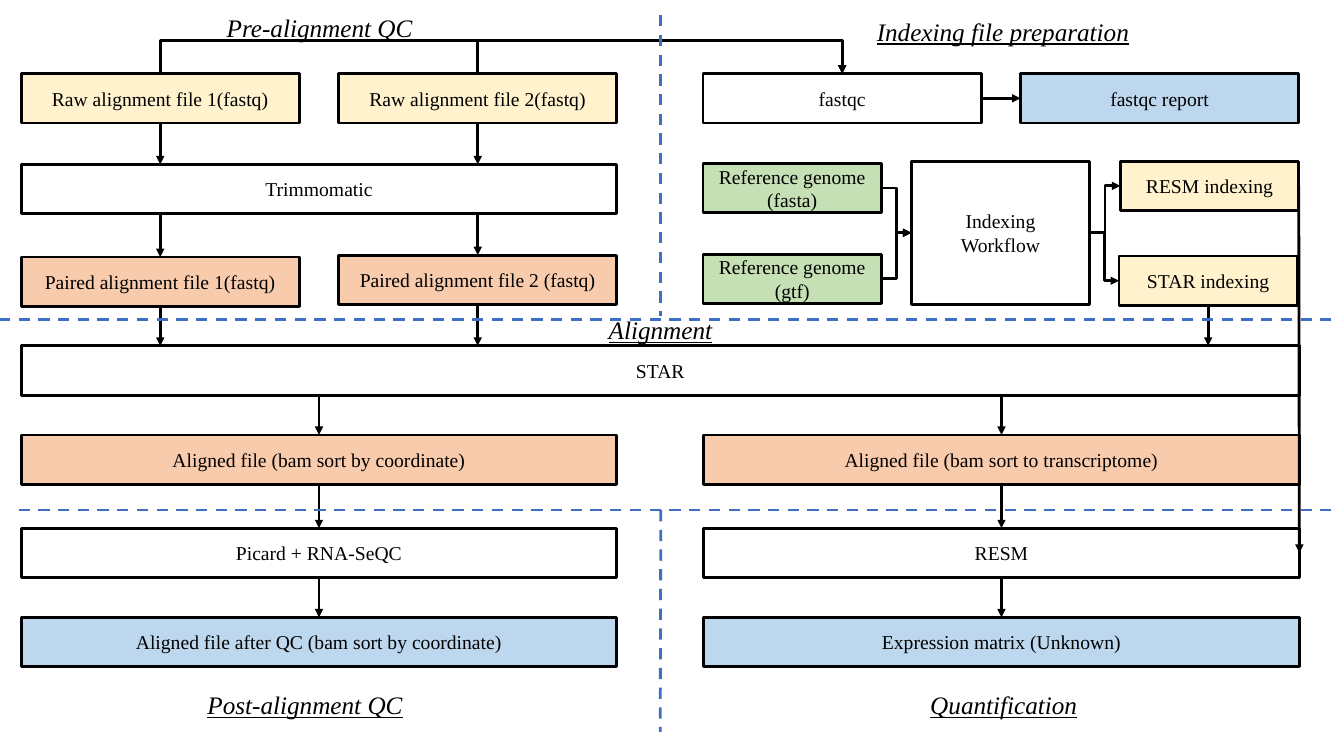
from itertools import product

from lxml.etree import SubElement
from pptx import Presentation
from pptx.dml.color import RGBColor
from pptx.enum.dml import MSO_LINE
from pptx.enum.shapes import MSO_CONNECTOR, MSO_SHAPE
from pptx.enum.text import MSO_ANCHOR, MSO_AUTO_SIZE, PP_ALIGN
from pptx.oxml.ns import qn
from pptx.util import Pt

BLACK = RGBColor(0x00, 0x00, 0x00)
WHITE = RGBColor(0xFF, 0xFF, 0xFF)
YELLOW = RGBColor(0xFF, 0xF2, 0xCC)
ORANGE = RGBColor(0xF8, 0xCB, 0xAD)
GREEN = RGBColor(0xC5, 0xE0, 0xB4)
PALE_BLUE = RGBColor(0xBD, 0xD7, 0xEE)
DIVIDER_BLUE = RGBColor(0x3F, 0x6F, 0xC3)

STEP_FONT = {"name": "Times New Roman", "size": Pt(14)}
TITLE_FONT = {"name": "Times New Roman", "size": Pt(18), "italic": True, "underline": True}
TOP, LEFT, BOTTOM, RIGHT = range(4)

LEFT_X, RIGHT_X = 15.12, 502.2
COLUMN_W, FULL_W = 425.5, 913
FILE_W, INDEX_W, STEP_H = 198.72, 127.4, 35.28


def write(tf, text, fmt, align):
    tf.text = text
    for p in tf.paragraphs:
        p.alignment = align
        p.font.color.rgb = BLACK
        for key, value in fmt.items():
            setattr(p.font, key, value)


def add_step(s, text, fill, x, y, w, h=STEP_H):
    sp = s.shapes.add_shape(MSO_SHAPE.RECTANGLE, Pt(x), Pt(y), Pt(w), Pt(h))
    sp.shadow.inherit = False
    sp.fill.solid()
    sp.fill.fore_color.rgb = fill
    sp.line.color.rgb = BLACK
    sp.line.width = Pt(2)
    sp.text_frame.vertical_anchor = MSO_ANCHOR.MIDDLE
    write(sp.text_frame, text, STEP_FONT, PP_ALIGN.CENTER)
    return sp


def add_title(s, text, x, y, w):
    tf = s.shapes.add_textbox(Pt(x), Pt(y), Pt(w), Pt(28.8)).text_frame
    tf.word_wrap = False
    tf.auto_size = MSO_AUTO_SIZE.SHAPE_TO_FIT_TEXT
    write(tf, text, TITLE_FONT, PP_ALIGN.LEFT)


def add_arrowhead(sp):
    SubElement(sp.element.spPr.find(qn("a:ln")), qn("a:tailEnd"), type="triangle")


def add_line(s, kind, x1, y1, x2, y2, color=BLACK):
    cn = s.shapes.add_connector(kind, x1, y1, x2, y2)
    cn.line.color.rgb = color
    cn.line.width = Pt(2)
    SubElement(cn.element.spPr, qn("a:effectLst"))
    return cn


def link_down(s, upper, lower):
    narrow = min(upper, lower, key=lambda sp: sp.width)
    x = narrow.left + narrow.width // 2
    cn = add_line(s, MSO_CONNECTOR.STRAIGHT, x, upper.top + upper.height, x, lower.top)
    for sp, connect, side in ((upper, cn.begin_connect, BOTTOM), (lower, cn.end_connect, TOP)):
        if abs(sp.left + sp.width // 2 - x) < Pt(2):
            connect(sp, side)
    add_arrowhead(cn)


def link_across(s, source, target, kind=MSO_CONNECTOR.ELBOW, side=LEFT):
    cn = add_line(s, kind, 0, 0, 0, 0)
    cn.begin_connect(source, RIGHT)
    cn.end_connect(target, side)
    add_arrowhead(cn)


def link_over(s, source, target, rise):
    x1, x2 = (sp.left + sp.width // 2 for sp in (source, target))
    y = source.top - Pt(rise)
    path = s.shapes.build_freeform(x1, source.top)
    path.add_line_segments([(x1, y), (x2, y), (x2, target.top)], close=False)
    sp = path.convert_to_shape()
    sp.shadow.inherit = False
    sp.fill.background()
    sp.line.color.rgb = BLACK
    sp.line.width = Pt(2)
    add_arrowhead(sp)


def pre_alignment(s, x, y, w):
    add_title(s, "Pre-alignment QC", x + 139.7, y - 47.6, 147.6)
    x2 = x + w - FILE_W
    raw = [add_step(s, f"Raw alignment file {n}(fastq)", YELLOW, left, y, FILE_W)
           for n, left in ((1, x), (2, x2))]
    trim = add_step(s, "Trimmomatic", WHITE, x, y + 64.8, w)
    paired = [add_step(s, "Paired alignment file 1(fastq)", ORANGE, x, y + 131, FILE_W),
              add_step(s, "Paired alignment file 2 (fastq)", ORANGE, x2, y + 129.6, FILE_W)]
    for before, after in zip(raw, paired):
        link_down(s, before, trim)
        link_down(s, trim, after)
    return raw, paired


def indexing(s, x, y, w):
    add_title(s, "Indexing file preparation", x + 117, y - 44.7, 195.1)
    right = x + w - INDEX_W
    fastqc = add_step(s, "fastqc", WHITE, x, y, FILE_W)
    report = add_step(s, "fastqc report", PALE_BLUE, x + w - FILE_W, y, FILE_W)
    link_across(s, fastqc, report, MSO_CONNECTOR.STRAIGHT)
    genomes = [add_step(s, f"Reference genome ({ext})", GREEN, x, y + dy, INDEX_W)
               for ext, dy in (("fasta", 64.1), ("gtf", 128.9))]
    workflow = add_step(s, "Indexing\nWorkflow", WHITE, x + 148.8, y + 62.6, INDEX_W, 102.2)
    resm = add_step(s, "RESM indexing", YELLOW, right, y + 62.6, INDEX_W)
    star = add_step(s, "STAR indexing", YELLOW, right - 1, y + 130.3, INDEX_W)
    for genome in genomes:
        link_across(s, genome, workflow)
    for index in (resm, star):
        link_across(s, workflow, index)
    return fastqc, resm, star


def alignment(s, x, y, w):
    add_title(s, "Alignment", x + 412.6, y - 26, 88.6)
    star = add_step(s, "STAR", WHITE, x, y, w)
    aligned = [add_step(s, f"Aligned file (bam sort {order})", ORANGE, left, y + 63.7, COLUMN_W)
               for order, left in (("by coordinate", x), ("to transcriptome", x + w - COLUMN_W))]
    for sp in aligned:
        link_down(s, star, sp)
    return star, aligned


def output_column(s, x, y, w, tool, result, title, title_dx, title_w):
    step = add_step(s, tool, WHITE, x, y, w)
    link_down(s, step, add_step(s, result, PALE_BLUE, x, y + 63.7, w))
    add_title(s, title, x + title_dx, y + 111.6, title_w)
    return step


def dividers(s, w):
    for x1, y1, x2, y2 in ((471.6, 10.8, 471.6, 225.4), (w, 228.24, 0, 228.24),
                           (w, 364.32, 7.2, 364.32), (472, 364.32, 471.6, 522.7)):
        cn = add_line(s, MSO_CONNECTOR.STRAIGHT, Pt(x1), Pt(y1), Pt(x2), Pt(y2), DIVIDER_BLUE)
        cn.line.dash_style = MSO_LINE.DASH


def main():
    prs = Presentation()
    prs.slide_width, prs.slide_height = Pt(960), Pt(540)
    s = prs.slides.add_slide(prs.slide_layouts[6])

    raw, paired = pre_alignment(s, LEFT_X, 52.6, COLUMN_W)
    fastqc, resm_index, star_index = indexing(s, RIGHT_X, 52.6, COLUMN_W)
    star, aligned = alignment(s, LEFT_X, 247, FULL_W)
    picard = output_column(s, LEFT_X, 377.3, COLUMN_W, "Picard + RNA-SeQC",
                           "Aligned file after QC (bam sort by coordinate)",
                           "Post-alignment QC", 126, 154.1)
    resm = output_column(s, LEFT_X + FULL_W - COLUMN_W, 377.3, COLUMN_W, "RESM",
                         "Expression matrix (Unknown)", "Quantification", 154.8, 119.5)

    for source, target in product(raw, [fastqc]):
        link_over(s, source, target, 23.8)
    for source in (*paired, star_index):
        link_down(s, source, star)
    for source, target in zip(aligned, (picard, resm)):
        link_down(s, source, target)
    link_across(s, resm_index, resm, MSO_CONNECTOR.STRAIGHT, RIGHT)
    dividers(s, 951.1)

    prs.save("out.pptx")


if __name__ == "__main__":
    main()
